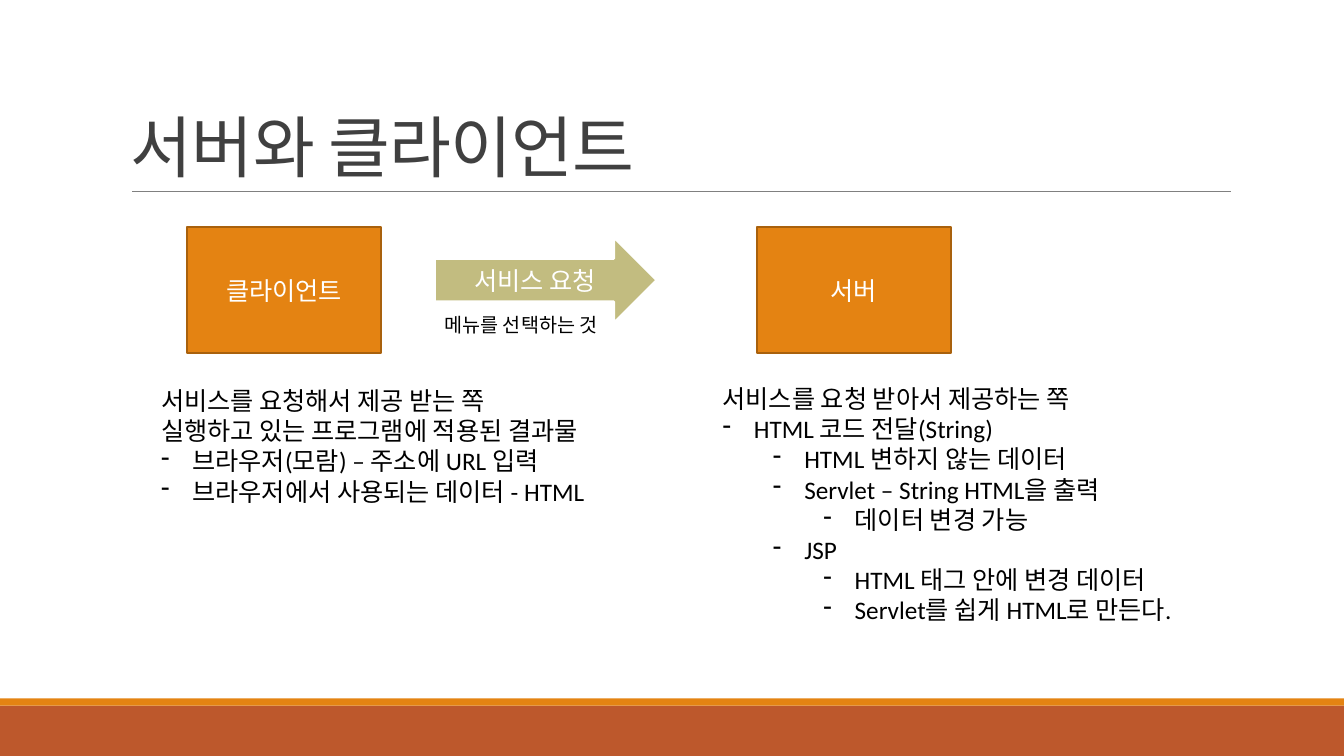
from lxml import etree
from pptx import Presentation
from pptx.dml.color import RGBColor
from pptx.enum.shapes import MSO_CONNECTOR, MSO_SHAPE
from pptx.enum.text import MSO_ANCHOR, MSO_AUTO_SIZE, PP_ALIGN
from pptx.oxml.ns import qn
from pptx.util import Cm, Pt

RECT, ARROW = MSO_SHAPE.RECTANGLE, MSO_SHAPE.RIGHT_ARROW
LINE = MSO_CONNECTOR.STRAIGHT
MIDDLE, BOTTOM = MSO_ANCHOR.MIDDLE, MSO_ANCHOR.BOTTOM
CENTER, GROW = PP_ALIGN.CENTER, MSO_AUTO_SIZE.SHAPE_TO_FIT_TEXT

WHITE = RGBColor(0xFF, 0xFF, 0xFF)
BLACK = RGBColor(0, 0, 0)
DARK = RGBColor(0x40, 0x40, 0x40)
GRAY = RGBColor(0x80, 0x80, 0x80)
ORANGE = RGBColor(0xE4, 0x83, 0x12)
BROWN = RGBColor(0xA9, 0x61, 0x0D)
RUST = RGBColor(0xBD, 0x58, 0x2C)
OLIVE = RGBColor(0xC2, 0xBC, 0x80)

FONT = "Calibri"
WIDE, HIGH = 33.87, 19.05
HANG, STEP = 0.79, 1.27

# Each note is (level, text); None means no dash.
CLIENT = [
    (None, "서비스를 요청해서 제공 받는 쪽"),
    (None, "실행하고 있는 프로그램에 적용된 결과물"),
    (0, "브라우저(모람) – 주소에 URL 입력"),
    (0, "브라우저에서 사용되는 데이터 - HTML"),
]
SERVER = [
    (None, "서비스를 요청 받아서 제공하는 쪽"),
    (0, "HTML 코드 전달(String)"),
    (1, "HTML 변하지 않는 데이터"),
    (1, "Servlet – String HTML을 출력"),
    (2, "데이터 변경 가능"),
    (1, "JSP"),
    (2, "HTML 태그 안에 변경 데이터"),
    (2, "Servlet를 쉽게 HTML로 만든다."),
]


def style(para, size, color):
    for run in para.runs:
        run.font.name = FONT
        run.font.size = Pt(size)
        run.font.color.rgb = color


def add_block(slide, kind, box, fill, edge=None, width=0, text=""):
    shape = slide.shapes.add_shape(kind, *map(Cm, box))
    shape.shadow.inherit = False
    shape.fill.solid()
    shape.fill.fore_color.rgb = fill
    if edge is None:
        shape.line.fill.background()
    else:
        shape.line.color.rgb = edge
        shape.line.width = Pt(width)
    if text:
        frame = shape.text_frame
        frame.text = text
        frame.vertical_anchor = MIDDLE
        para = frame.paragraphs[0]
        para.alignment = CENTER
        style(para, 18, WHITE)


def add_dash(para, level):
    para.level = level
    props = para._p.get_or_add_pPr()
    props.set("marL", str(Cm(HANG + level * STEP)))
    props.set("indent", str(-Cm(HANG)))
    etree.SubElement(props, qn("a:buFontTx"))
    etree.SubElement(props, qn("a:buChar")).set("char", "-")


def add_notes(slide, box, notes, size=18):
    frame = slide.shapes.add_textbox(*map(Cm, box)).text_frame
    frame.word_wrap = False
    frame.auto_size = GROW
    frame.text = "\n".join(text for _, text in notes)
    for para, (level, _) in zip(frame.paragraphs, notes):
        style(para, size, BLACK)
        if level is not None:
            add_dash(para, level)


def add_title(slide, box, text):
    """Title on the bottom edge of the box, with a thin rule below."""
    left, top, width, height = box
    frame = slide.shapes.add_textbox(*map(Cm, box)).text_frame
    frame.word_wrap = True
    frame.vertical_anchor = BOTTOM
    frame.text = text
    para = frame.paragraphs[0]
    para.line_spacing = 0.85
    style(para, 48, DARK)
    para.runs[0].font._element.set("spc", "-50")

    base = top + height
    ends = left + 0.28, base, left + width + 0.02, base
    rule = slide.shapes.add_connector(LINE, *map(Cm, ends))
    rule.line.color.rgb = GRAY
    rule.line.width = Pt(0.5)
    etree.SubElement(rule._element.spPr, qn("a:effectLst"))


def add_footer(slide, box):
    left, top, width, height = box
    strip = 0.18
    add_block(slide, RECT, (left, top + strip, width, height - strip), RUST)
    add_block(slide, RECT, (left, top, width, strip), ORANGE)


def add_side(slide, box, name, inset, gap, notes):
    """A named block with its notes below."""
    left, top, width, height = box
    tall = 3.18
    add_block(slide, RECT, (left + inset, top, 4.88, tall),
              ORANGE, BROWN, 1.25, name)
    drop = tall + gap
    add_notes(slide, (left, top + drop, width, height - drop), notes)


def add_request(slide, box):
    left, top, width, height = box
    add_block(slide, ARROW, (left, top, width, 2.18),
              OLIVE, WHITE, 2, "서비스 요청")
    add_notes(slide, (left, top + 1.8, 4.72, height - 1.8),
              [(None, "메뉴를 선택하는 것")], 14)


def main():
    deck = Presentation()
    deck.slide_width, deck.slide_height = Cm(WIDE), Cm(HIGH)
    slide = deck.slides.add_slide(deck.slide_layouts[6])
    add_footer(slide, (0, HIGH - 1.45, WIDE, 1.45))
    add_title(slide, (3.05, 0.79, 27.94, 4.04), "서버와 클라이언트")
    add_side(slide, (3.81, 5.72, 11.99, 7.19), "클라이언트", 0.91, 0.68, CLIENT)
    add_side(slide, (17.96, 5.72, 12.32, 10.21), "서버", 1.12, 0.63, SERVER)
    add_request(slide, (10.95, 5.97, 5.61, 2.66))
    deck.save("out.pptx")


if __name__ == "__main__":
    main()
